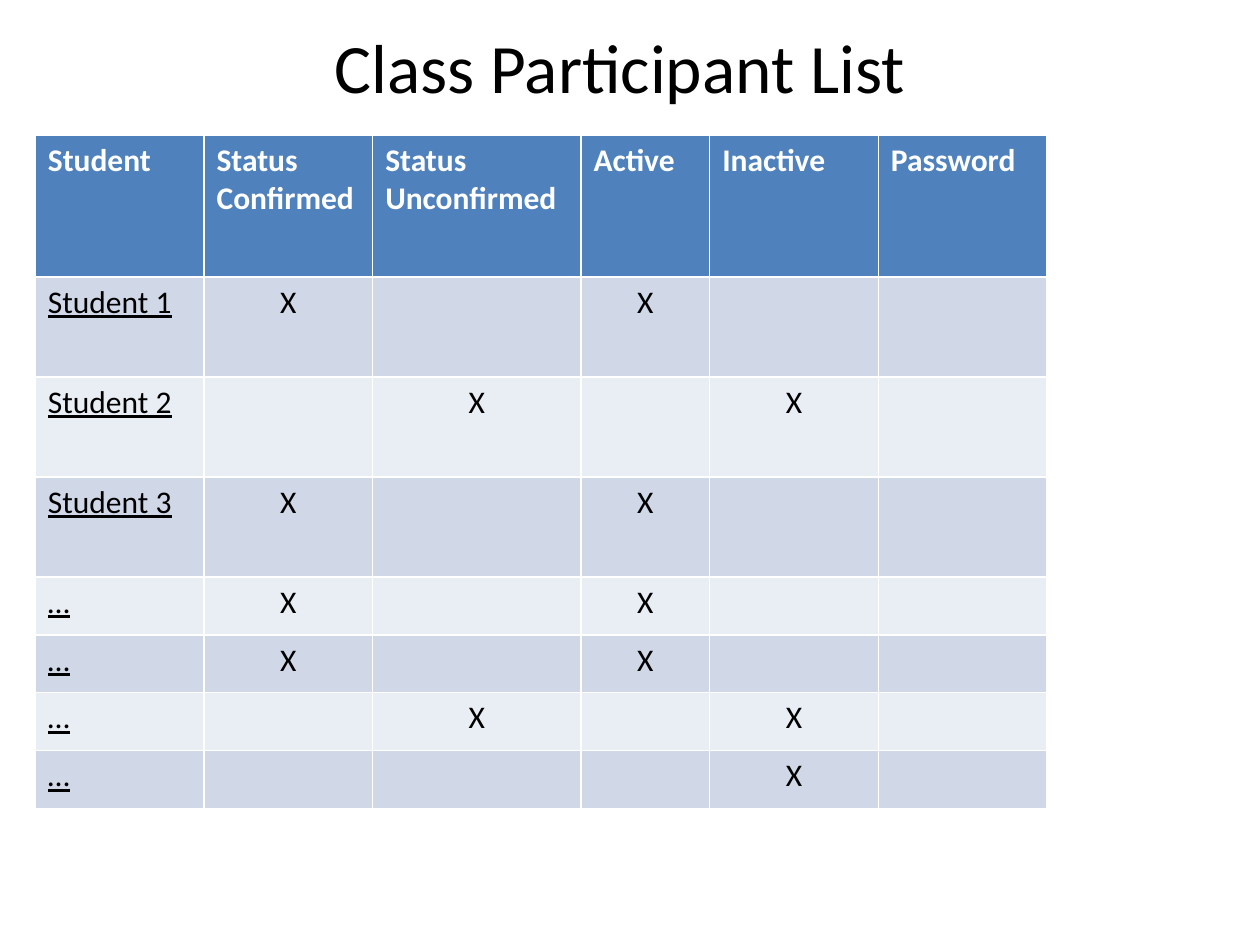
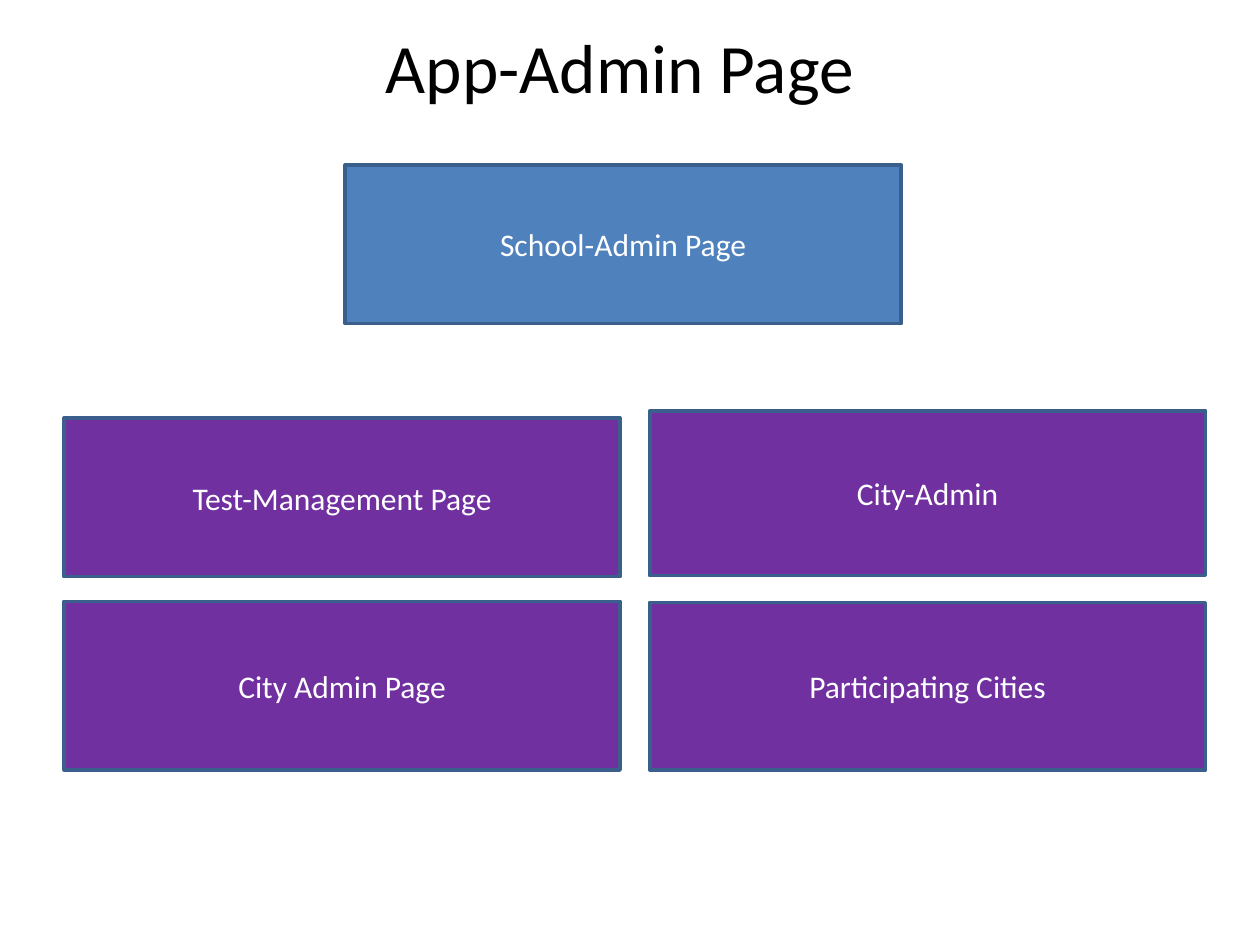
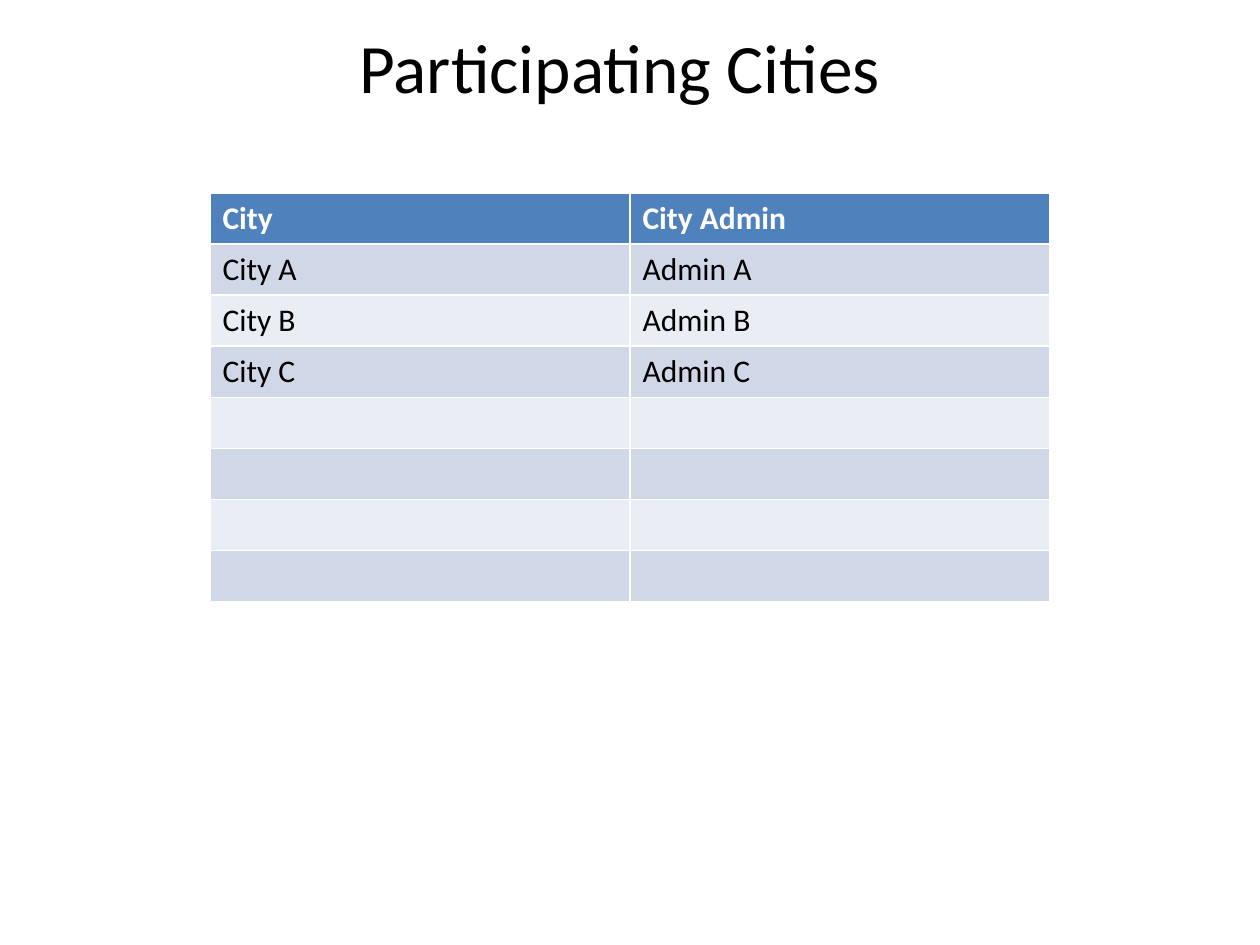
import dataclasses
import pptx
import pptx.util
import pptx.dml.color
import pptx.enum.shapes
import pptx.enum.text

Pt = pptx.util.Pt
Shape = pptx.enum.shapes.MSO_SHAPE
Align = pptx.enum.text.PP_ALIGN


@dataclasses.dataclass(frozen=True)
class Theme:
    font: str = "Calibri"
    title: float = 39.6
    body: float = 18
    black: str = "000000"
    white: str = "FFFFFF"
    blue: str = "4F81BD"
    purple: str = "7030A0"
    edge: str = "3A5F8C"
    bands: tuple = ("D0D8E8", "E9EDF4")


theme = Theme()

TITLE = (93.6, 20.9, 521.3, 33.8)

CLASS = {
    "title": "Class Participant List",
    "head": ["Student", "Status Confirmed", "Status Unconfirmed",
             "Active", "Inactive", "Password"],
    "rows": [
        ["Student 1", "X", "", "X", "", ""],
        ["Student 2", "", "X", "", "X", ""],
        ["Student 3", "X", "", "X", "", ""],
        ["…", "X", "", "X", "", ""],
        ["…", "X", "", "X", "", ""],
        ["…", "", "X", "", "X", ""],
        ["…", "", "", "", "X", ""],
    ],
    "left": 20.2,
    "top": 77.2,
    "wide": [96.4, 96.4, 119, 73.6, 96.4, 96.4],
    "high": [81.2] + [57.1] * 3 + [33.1] * 4,
    "linked": True,
}

CITY = {
    "title": "Participating Cities",
    "head": ["City", "City Admin"],
    "rows": [[f"City {key}", f"Admin {key}"] for key in "ABC"] + [["", ""]] * 4,
    "left": 120,
    "top": 110.2,
    "wide": [240] * 2,
    "high": [29.2] * 8,
    "linked": False,
}

LEFT, MID, RIGHT = 36.7, 197.3, 371.3
WIDE = 317.6
ADMIN = {
    "title": "App-Admin Page",
    "boxes": [
        ("City-Admin", RIGHT, 234.7, 94.3, theme.purple, Shape.RECTANGLE),
        ("School-Admin Page", MID, 94.3, 90.7, theme.blue, Shape.RECTANGLE),
        ("Test-Management Page", LEFT, 238.9, 90.7, theme.purple, Shape.RECTANGLE),
        ("City Admin Page", LEFT, 343.6, 96.4, theme.purple, Shape.FLOWCHART_PROCESS),
        ("Participating Cities", RIGHT, 344.2, 95.8, theme.purple, Shape.RECTANGLE),
    ],
}


def color(code):
    return pptx.dml.color.RGBColor.from_string(code)


def paint(fill, code):
    fill.solid()
    fill.fore_color.rgb = color(code)


def write(frame, text, size=theme.body, ink=theme.black, bold=False,
          under=False, align=Align.LEFT):
    line = frame.paragraphs[0]
    line.alignment = align
    run = line.add_run()
    run.text = text
    font = run.font
    font.name, font.size = theme.font, Pt(size)
    font.bold, font.underline = bold, under
    font.color.rgb = color(ink)


def start(deck, text):
    slide = deck.slides.add_slide(deck.slide_layouts[5])
    title = slide.shapes.title
    title.left, title.top, title.width, title.height = map(Pt, TITLE)
    frame = title.text_frame
    frame.auto_size = pptx.enum.text.MSO_AUTO_SIZE.NONE
    frame.vertical_anchor = pptx.enum.text.MSO_ANCHOR.MIDDLE
    write(frame, text, size=theme.title, align=Align.CENTER)
    return slide


def style(text, row, col, linked):
    if row == 0:
        return {"ink": theme.white, "bold": True}
    if linked and col == 0:
        return {"under": True}
    return {"align": Align.CENTER if text == "X" else Align.LEFT}


def chart(deck, data):
    slide = start(deck, data["title"])
    lines = [data["head"]] + data["rows"]
    wide, high = data["wide"], data["high"]
    table = slide.shapes.add_table(
        len(high), len(wide), Pt(data["left"]), Pt(data["top"]),
        Pt(sum(wide)), Pt(sum(high))).table
    for col, size in zip(table.columns, wide):
        col.width = Pt(size)
    for row, size in zip(table.rows, high):
        row.height = Pt(size)
    for row, line in enumerate(lines):
        for col, text in enumerate(line):
            cell = table.cell(row, col)
            paint(cell.fill, theme.bands[(row - 1) % 2] if row else theme.blue)
            if text:
                write(cell.text_frame, text, **style(text, row, col, data["linked"]))


def menu(deck, data):
    slide = start(deck, data["title"])
    for text, left, top, high, fill, kind in data["boxes"]:
        box = slide.shapes.add_shape(kind, Pt(left), Pt(top), Pt(WIDE), Pt(high))
        box.shadow.inherit = False
        paint(box.fill, fill)
        box.line.color.rgb = color(theme.edge)
        box.line.width = Pt(2)
        box.text_frame.vertical_anchor = pptx.enum.text.MSO_ANCHOR.MIDDLE
        write(box.text_frame, text, ink=theme.white, align=Align.CENTER)


def main():
    deck = pptx.Presentation()
    deck.slide_width, deck.slide_height = Pt(720), Pt(540)
    chart(deck, CLASS)
    menu(deck, ADMIN)
    chart(deck, CITY)
    deck.save("out.pptx")


if __name__ == "__main__":
    main()
